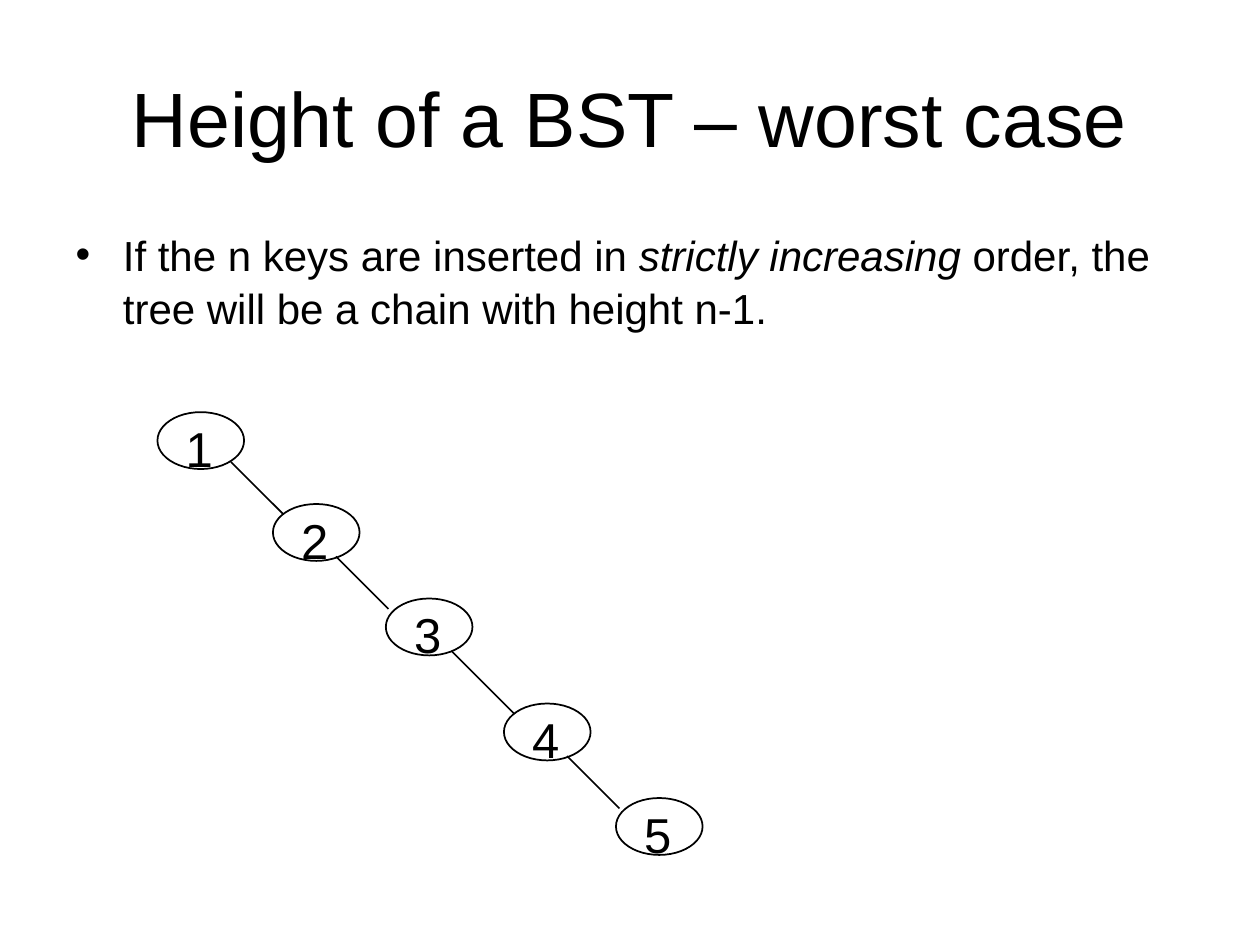
from lxml import etree
from pptx import Presentation
from pptx.dml import color
from pptx.enum import shapes, text
from pptx.oxml import ns
from pptx.util import Pt

BLACK = "000000"


def rgb(value):
    return color.RGBColor.from_string(value)


def style(para, size):
    for span in para.runs:
        span.font.name = "Arial"
        span.font.size = Pt(size)
        span.font.color.rgb = rgb(BLACK)


deck = Presentation()
deck.slide_width, deck.slide_height = Pt(720), Pt(540)
page = deck.slides.add_slide(deck.slide_layouts[1])

title = page.shapes.title
title.left, title.top, title.width, title.height = Pt(36), Pt(21.6), Pt(648), Pt(90)
title.text_frame.text = "Height of a BST – worst case"
title.text_frame.vertical_anchor = text.MSO_ANCHOR.MIDDLE
title.text_frame.paragraphs[0].alignment = text.PP_ALIGN.CENTER
style(title.text_frame.paragraphs[0], 44)

body = page.placeholders[1]
body.left, body.top, body.width, body.height = Pt(36), Pt(126), Pt(666), Pt(90)
body.text_frame.auto_size = text.MSO_AUTO_SIZE.NONE
para = body.text_frame.paragraphs[0]
for words, italic in (
    ("If the n keys are inserted in ", False),
    ("strictly increasing", True),
    (" order, the tree will be a chain with height n-1.", False),
):
    span = para.add_run()
    span.text = words
    span.font.italic = italic
para.space_before = Pt(0)
para.line_spacing = 1.05
properties = para._p.get_or_add_pPr()
properties.set("marL", str(Pt(27)))
properties.set("indent", str(Pt(-27)))
etree.SubElement(properties, ns.qn("a:buChar")).set("char", "•")
style(para, 24)

nodes = [(90, 235.5), (156, 288), (220.5, 342), (288, 402), (352, 456)]
for key, (left, top) in enumerate(nodes, 1):
    node = page.shapes.add_shape(
        shapes.MSO_SHAPE.OVAL, Pt(left), Pt(top), Pt(49.5), Pt(32.5))
    node.shadow.inherit = False
    node.fill.background()
    node.line.color.rgb = rgb(BLACK)
    node.line.width = Pt(1)

    label = page.shapes.add_textbox(Pt(left + 9), Pt(top), Pt(29.5), Pt(41))
    label.text_frame.word_wrap = False
    label.text_frame.auto_size = text.MSO_AUTO_SIZE.SHAPE_TO_FIT_TEXT
    label.text_frame.text = str(key)
    label.text_frame.paragraphs[0].alignment = text.PP_ALIGN.CENTER
    style(label.text_frame.paragraphs[0], 28)

for left, top, run in ((132, 264, 30), (192, 318, 30), (258, 372, 36), (324, 432, 30)):
    edge = page.shapes.add_connector(
        shapes.MSO_CONNECTOR.STRAIGHT, Pt(left), Pt(top), Pt(left + run), Pt(top + run))
    edge.line.color.rgb = rgb(BLACK)
    edge.line.width = Pt(1)
    etree.SubElement(edge._element.spPr, ns.qn("a:effectLst"))

deck.save("out.pptx")
